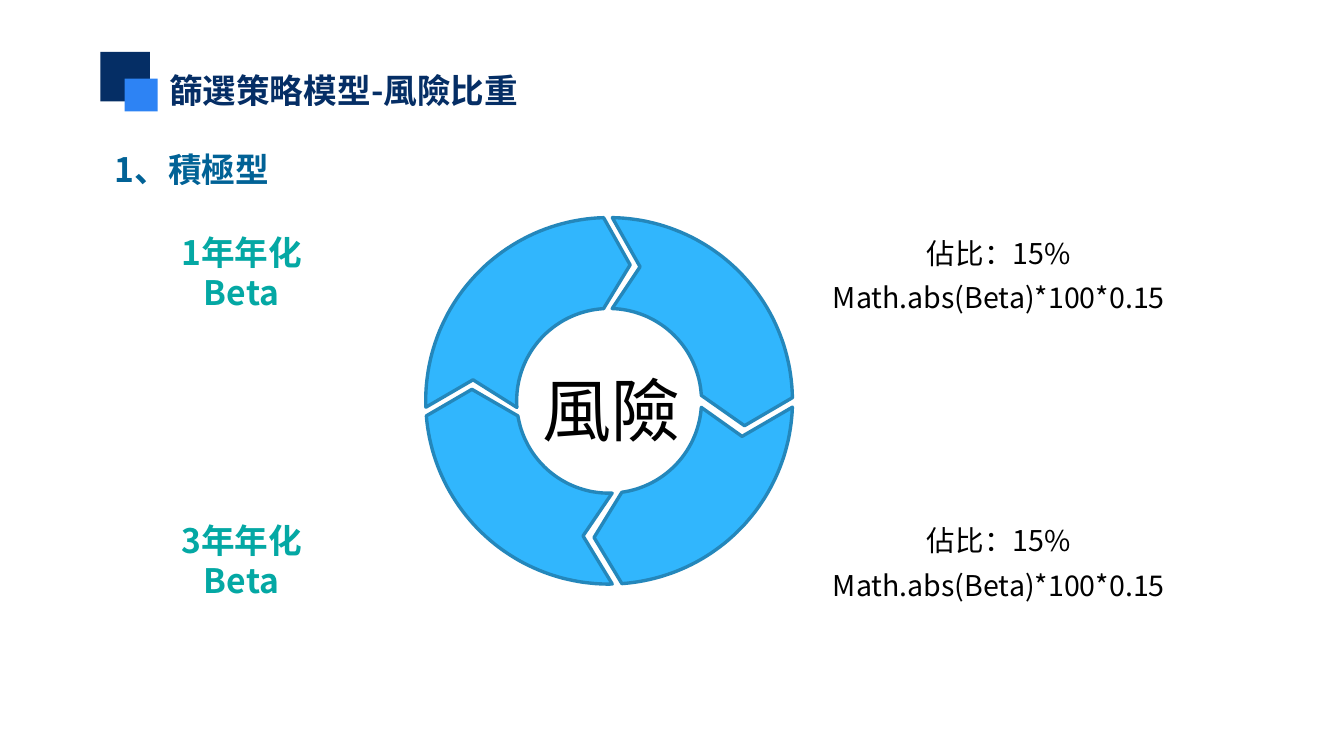
from math import cos, radians, sin

from lxml.etree import SubElement
from pptx import Presentation
from pptx.dml.color import RGBColor
from pptx.enum.shapes import MSO_SHAPE as Preset
from pptx.enum.text import MSO_ANCHOR as Anchor, MSO_AUTO_SIZE as AutoSize, PP_ALIGN as Align
from pptx.oxml.ns import qn
from pptx.util import Cm, Pt

FONT = "Noto Sans CJK SC"
NAVY, BLUE, TEAL = "052E65", "2D83F4", "04A8A4"

TITLE = "篩選策略模型-風險比重"
SUBTITLE = "1、積極型"
CENTER_LABEL = "風險"
MEASURES = [
    {"name": "1年年化\nBeta", "weight": "佔比：15%\nMath.abs(Beta)*100*0.15"},
    {"name": "3年年化\nBeta", "weight": "佔比：15%\nMath.abs(Beta)*100*0.15"},
]
TITLE_SQUARES = [(2.11, 1.09, 1.04, NAVY), (2.62, 1.65, 0.69, BLUE)]

RING_X, RING_Y = 12.79, 8.42
OUTER, MIDDLE, INNER = 3.85, 2.89, 1.94
# (outer start, outer end), tip, (inner start, inner end), notch
RING_ARROWS = [
    ((1, 89), 100.4, (1.9, 86.6), 13),
    ((268, 358.3), 368.8, (265.9, 356.6), 278.8),
    ((179, 265.3), 274.8, (178.1, 260.6), 190.9),
    ((92, 176), 186.3, (94.1, 172.1), 105),
]
ARC_STEPS = 48

deck = Presentation()
deck.slide_width, deck.slide_height = Cm(28.22), Cm(15.88)
slide = deck.slides.add_slide(deck.slide_layouts[6])


def color(hex_code):
    return RGBColor.from_string(hex_code)


def add_text(text, left, top, width, height, size=20, ink="000000", bold=False,
             align=Align.LEFT, anchor=Anchor.TOP, spacing=1.0, grow=True):
    box = slide.shapes.add_textbox(Cm(left), Cm(top), Cm(width), Cm(height))
    frame = box.text_frame
    frame.word_wrap = True
    frame.auto_size = AutoSize.SHAPE_TO_FIT_TEXT if grow else AutoSize.NONE
    frame.vertical_anchor = anchor
    frame.text = text
    for line in frame.paragraphs:
        line.alignment, line.line_spacing = align, spacing
        for run in line.runs:
            run.font.size, run.font.bold, run.font.name = Pt(size), bold, FONT
            run.font.color.rgb = color(ink)
            SubElement(run.font._element, qn("a:ea")).set("typeface", FONT)


def ring_point(radius, degrees):
    angle = radians(degrees)
    return Cm(RING_X + radius * sin(angle)), Cm(RING_Y - radius * cos(angle))


def arc(radius, start, end):
    return [ring_point(radius, start + (end - start) * step / ARC_STEPS)
            for step in range(ARC_STEPS + 1)]


def add_ring_arrow(outer, tip, inner, notch):
    outline = [*arc(OUTER, *outer), ring_point(MIDDLE, tip),
               *arc(INNER, *reversed(inner)), ring_point(MIDDLE, notch)]
    builder = slide.shapes.build_freeform(*outline[0])
    builder.add_line_segments(outline[1:], close=True)
    arrow = builder.convert_to_shape()
    arrow.shadow.inherit = False
    arrow.fill.solid()
    arrow.fill.fore_color.rgb = color("31B6FD")
    arrow.line.color.rgb = color("2487BB")
    arrow.line.width = Pt(2)


add_text(TITLE, 3.3, 1.35, 8.13, 1.12, ink=NAVY, bold=True)
for left, top, side, fill in TITLE_SQUARES:
    square = slide.shapes.add_shape(Preset.RECTANGLE, Cm(left), Cm(top), Cm(side), Cm(side))
    square.shadow.inherit = False
    square.fill.solid()
    square.fill.fore_color.rgb = color(fill)
    square.line.fill.background()
add_text(SUBTITLE, 2.16, 3, 8, 1.12, ink="016296", bold=True)

for ring_arrow in RING_ARROWS:
    add_ring_arrow(*ring_arrow)
add_text(CENTER_LABEL, 11.02, 7.59, 3.66, 1.96, size=41, align=Align.CENTER)

for row, measure in enumerate(MEASURES):
    drop = row * 6.04
    add_text(measure["weight"], 17.15, 4.47 + drop, 7.65, 2.41, size=17,
             align=Align.CENTER, anchor=Anchor.MIDDLE, spacing=1.3, grow=False)
    add_text(measure["name"], 3.4, 4.75 + drop, 3.35, 1.96, ink=TEAL, bold=True,
             align=Align.CENTER)

deck.save("out.pptx")
